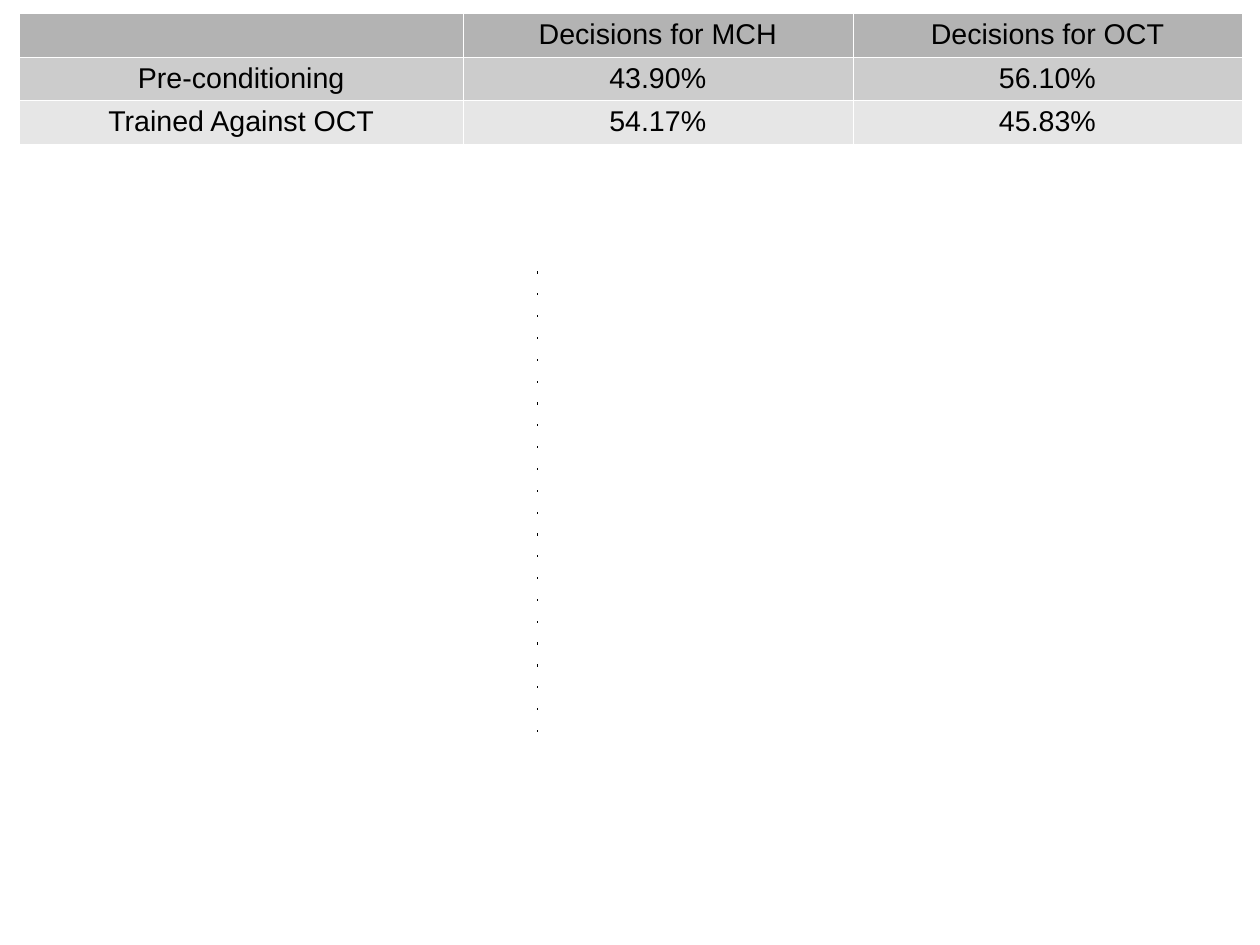
from dataclasses import dataclass

from lxml.etree import SubElement
from pptx import Presentation
from pptx.dml.color import RGBColor as RGB
from pptx.enum.shapes import MSO_CONNECTOR as CONN
from pptx.enum.text import PP_ALIGN as ALIGN
from pptx.oxml.ns import qn
from pptx.util import Cm, Pt

W, H = Cm(28), Cm(21)
TABLE_LEFT, TABLE_TOP = 1.54, 1.38
COLUMN_WIDTHS = (35.2, 30.93, 30.93)
ROW_HEIGHT = 4.62


@dataclass(frozen=True)
class Row:
    texts: tuple[str, str, str]
    fill: str


@dataclass(frozen=True)
class Divider:
    x: float
    start: float
    end: float


ROWS = (
    Row(("", "Decisions for MCH", "Decisions for OCT"), "B3B3B3"),
    Row(("Pre-conditioning", "43.90%", "56.10%"), "CCCCCC"),
    Row(("Trained Against OCT", "54.17%", "45.83%"), "E6E6E6"),
)
DIVIDER = Divider(42.64, 77.41, 27.82)


def across(percent: float) -> int:
    return round(W * percent / 100)


def down(percent: float) -> int:
    return round(H * percent / 100)


def paint(target, colour: str) -> None:
    target.solid()
    target.fore_color.rgb = RGB.from_string(colour)


def add_borders(cell, colour: str) -> None:
    tc_pr = cell._tc.get_or_add_tcPr()
    for index, side in enumerate(("lnL", "lnR", "lnT", "lnB")):
        ln = tc_pr.makeelement(qn(f"a:{side}"), {"w": str(Pt(0.06))})
        fill = SubElement(ln, qn("a:solidFill"))
        SubElement(fill, qn("a:srgbClr"), val=colour)
        tc_pr.insert(index, ln)


def fill_cell(cell, text: str, colour: str) -> None:
    paint(cell.fill, colour)
    add_borders(cell, "FFFFFF")
    if not text:
        cell.margin_top = cell.margin_bottom = 0
        return
    p = cell.text_frame.paragraphs[0]
    p.text = text
    p.alignment = ALIGN.CENTER
    for r in p.runs:
        r.font.name = "Arial"
        r.font.size = Pt(18)
        r.font.bold = False
        paint(r.font.fill, "000000")


def add_decisions(s, rows: tuple[Row, ...]) -> None:
    frame = s.shapes.add_table(
        len(rows), len(COLUMN_WIDTHS), across(TABLE_LEFT), down(TABLE_TOP),
        across(sum(COLUMN_WIDTHS)), down(ROW_HEIGHT * len(rows)))
    table = frame.table
    table.first_row = table.horz_banding = False
    for column, width in zip(table.columns, COLUMN_WIDTHS):
        column.width = across(width)
    for table_row, row in zip(table.rows, rows):
        table_row.height = down(ROW_HEIGHT)
        for cell, text in zip(table_row.cells, row.texts):
            fill_cell(cell, text, row.fill)


def add_divider(s, divider: Divider) -> None:
    x = across(divider.x)
    sp = s.shapes.add_connector(
        CONN.STRAIGHT, x, down(divider.start), x, down(divider.end))
    paint(sp.line.fill, "000000")
    ln = sp.line._get_or_add_ln()
    ln.set("w", "0")
    dash = SubElement(ln, qn("a:custDash"))
    SubElement(dash, qn("a:ds"), d="100000", sp="1700000")
    SubElement(sp._element.spPr, qn("a:effectLst"))


def main() -> None:
    """Build the decisions slide and save it."""
    prs = Presentation()
    prs.slide_width, prs.slide_height = W, H
    s = prs.slides.add_slide(prs.slide_layouts[6])
    paint(s.background.fill, "FFFFFF")
    add_decisions(s, ROWS)
    add_divider(s, DIVIDER)
    prs.save("out.pptx")


if __name__ == "__main__":
    main()
